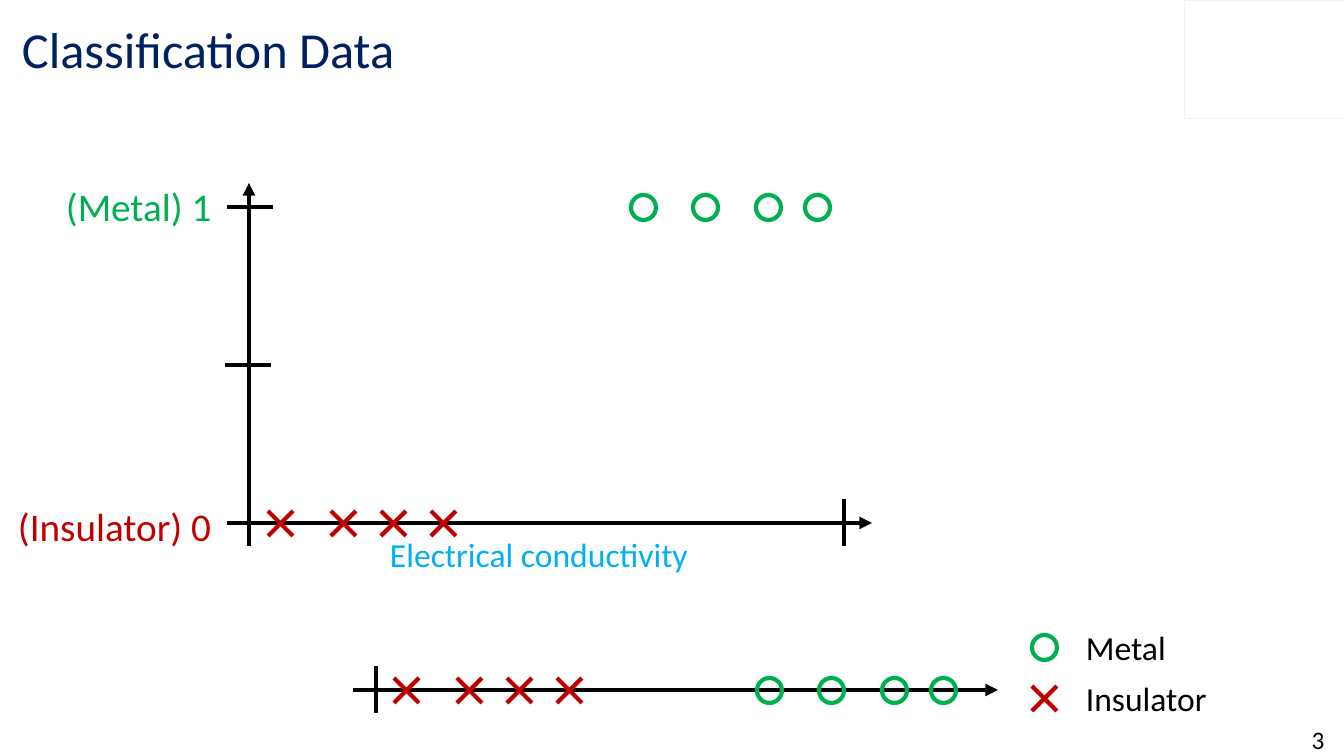
from lxml.etree import SubElement
from pptx import Presentation
from pptx.dml.color import RGBColor
from pptx.enum.shapes import MSO_CONNECTOR, MSO_SHAPE
from pptx.enum.text import MSO_ANCHOR, MSO_AUTO_SIZE, PP_ALIGN
from pptx.oxml.ns import qn
from pptx.util import Pt

EMU_PER_PX = 914400 / 100.8
FONT = "Calibri"
NAVY = RGBColor(0x00, 0x20, 0x60)
BLACK = RGBColor(0x00, 0x00, 0x00)
GREEN = RGBColor(0x00, 0xB0, 0x50)
RED = RGBColor(0xC0, 0x00, 0x00)
SKY = RGBColor(0x00, 0xB0, 0xF0)
PALE_GREY = RGBColor(0xF2, 0xF2, 0xF2)

MARK_SIZE = 25
INSULATOR_XS = (280, 343, 393, 443)
METAL_XS = (643, 705, 768, 817)
METAL_Y = 207
INSULATOR_Y = 523
NUMBER_LINE_Y = 690
NUMBER_LINE_SHIFT = 126
LEGEND_X = 1044


def px(*values):
    return [round(value * EMU_PER_PX) for value in values]


def add_text(shapes, text, box, size, color, align=PP_ALIGN.LEFT,
             anchor=MSO_ANCHOR.TOP, wrap=False):
    label = shapes.add_textbox(*px(*box))
    frame = label.text_frame
    frame.word_wrap = wrap
    frame.auto_size = MSO_AUTO_SIZE.NONE if wrap else MSO_AUTO_SIZE.SHAPE_TO_FIT_TEXT
    frame.vertical_anchor = anchor
    paragraph = frame.paragraphs[0]
    paragraph.alignment = align
    run = paragraph.add_run()
    run.text = text
    run.font.name = FONT
    run.font.size = Pt(size)
    run.font.color.rgb = color


def add_line(shapes, start, end, color=BLACK, arrow=False):
    line = shapes.add_connector(MSO_CONNECTOR.STRAIGHT, *px(*start, *end))
    line.line.color.rgb = color
    line.line.width = Pt(3)
    if arrow:
        SubElement(line.line._get_or_add_ln(), qn("a:tailEnd"), type="triangle")
    SubElement(line._element.spPr, qn("a:effectLst"))


def add_outline(shapes, preset, box, color, width):
    outline = shapes.add_shape(preset, *px(*box))
    outline.shadow.inherit = False
    outline.fill.background()
    outline.line.color.rgb = color
    outline.line.width = Pt(width)


def add_metal(shapes, x, y):
    left, top = x - MARK_SIZE // 2, y - MARK_SIZE // 2
    add_outline(shapes, MSO_SHAPE.OVAL, (left, top, MARK_SIZE, MARK_SIZE), GREEN, 3)


def add_insulator(shapes, x, y):
    left, top = x - MARK_SIZE // 2, y - MARK_SIZE // 2
    right, bottom = left + MARK_SIZE, top + MARK_SIZE
    cross = shapes.add_group_shape().shapes
    add_line(cross, (right, top), (left, bottom), RED)
    add_line(cross, (left, top), (right, bottom), RED)


def add_samples(shapes, insulator_y, metal_y, shift=0):
    for x in INSULATOR_XS:
        add_insulator(shapes, x + shift, insulator_y)
    for x in METAL_XS:
        add_metal(shapes, x + shift, metal_y)


def add_plot(shapes):
    add_line(shapes, (227, INSULATOR_Y), (872, INSULATOR_Y), arrow=True)
    add_line(shapes, (249, 546), (249, 183), arrow=True)
    add_line(shapes, (844, 546), (844, 499))
    add_line(shapes, (227, METAL_Y), (273, METAL_Y))
    add_line(shapes, (225, 365), (271, 365))
    add_text(shapes, "Electrical conductivity", (378, 529, 322, 50), 24, SKY,
             align=PP_ALIGN.CENTER)
    add_text(shapes, "(Metal) 1", (56, 177, 167, 57), 28, GREEN)
    add_text(shapes, "(Insulator) 0", (8, 497, 216, 57), 28, RED)
    add_samples(shapes, INSULATOR_Y, METAL_Y)


def add_number_line(shapes):
    add_line(shapes, (353, NUMBER_LINE_Y), (998, NUMBER_LINE_Y), arrow=True)
    add_line(shapes, (376, 713), (376, 666))
    add_samples(shapes, NUMBER_LINE_Y, NUMBER_LINE_Y, NUMBER_LINE_SHIFT)


def add_legend(shapes):
    add_insulator(shapes, LEGEND_X, 698)
    add_metal(shapes, LEGEND_X, 647)
    add_text(shapes, "Metal", (1076, 622, 101, 50), 24, BLACK)
    add_text(shapes, "Insulator", (1076, 673, 142, 50), 24, BLACK)


def main():
    deck = Presentation()
    deck.slide_width, deck.slide_height = px(1344, 756)
    shapes = deck.slides.add_slide(deck.slide_layouts[6]).shapes
    add_outline(shapes, MSO_SHAPE.RECTANGLE, (1184, 0, 160, 118), PALE_GREY, 0.25)
    add_text(shapes, "Classification Data", (12, 10, 1037, 76), 36, NAVY,
             anchor=MSO_ANCHOR.MIDDLE, wrap=True)
    add_text(shapes, "3", (1293, 723, 50, 33), 18, BLACK, align=PP_ALIGN.CENTER,
             anchor=MSO_ANCHOR.MIDDLE, wrap=True)
    add_plot(shapes)
    add_number_line(shapes)
    add_legend(shapes)
    deck.save("out.pptx")


if __name__ == "__main__":
    main()
